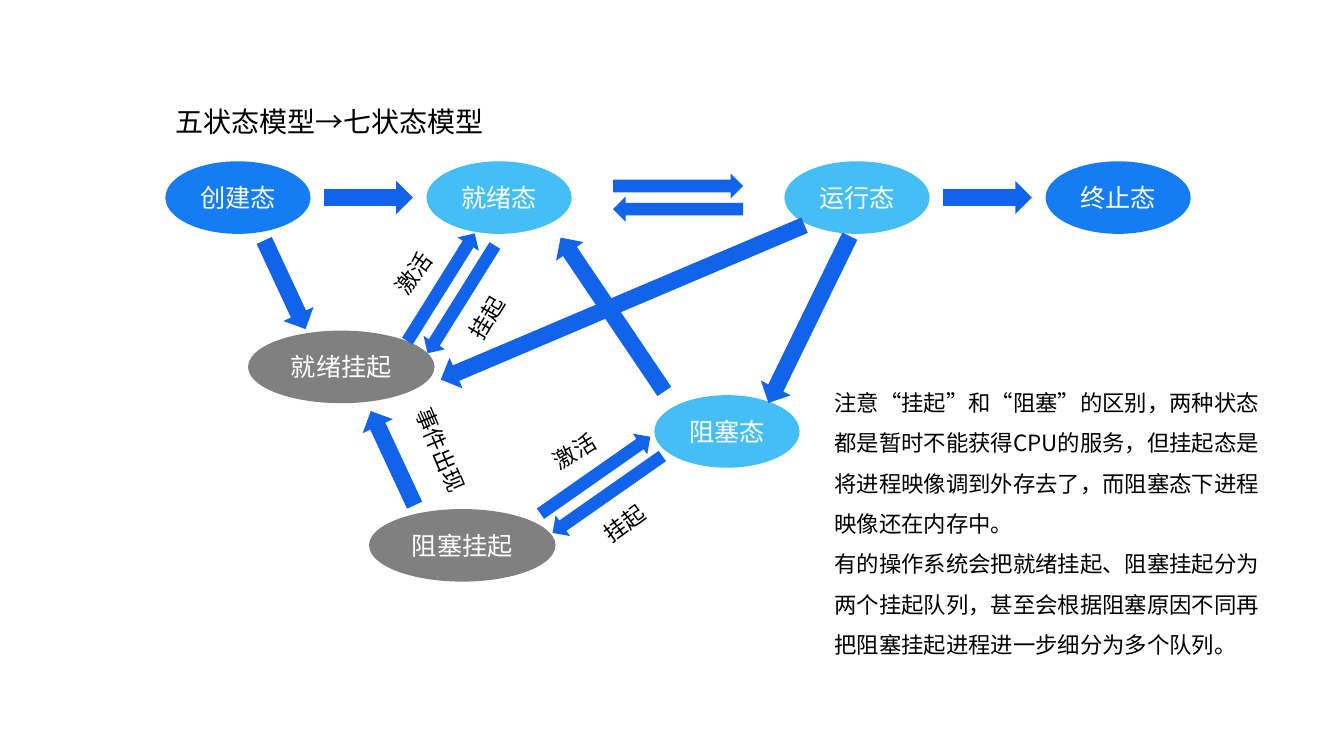
from lxml.etree import SubElement
from pptx import Presentation
from pptx.dml.color import RGBColor
from pptx.enum.shapes import MSO_SHAPE
from pptx.enum.text import MSO_ANCHOR, MSO_AUTO_SIZE, PP_ALIGN
from pptx.oxml.ns import qn
from pptx.util import Inches, Pt

FONT = "Noto Sans CJK SC"
BLUE = RGBColor(0x15, 0x7C, 0xF3)
SKY = RGBColor(0x45, 0xBE, 0xF5)
GRAY = RGBColor(0x80, 0x80, 0x80)
ARROW_BLUE = RGBColor(0x11, 0x63, 0xEB)
WHITE = RGBColor(0xFF, 0xFF, 0xFF)
BLACK = RGBColor(0, 0, 0)

TITLE = "五状态模型→七状态模型"
NOTES = [
    "注意“挂起”和“阻塞”的区别，两种状态都是暂时不能获得CPU的服务，但挂起态是将进程映像调到外存去了，而阻塞态下进程映像还在内存中。",
    "有的操作系统会把就绪挂起、阻塞挂起分为两个挂起队列，甚至会根据阻塞原因不同再把阻塞挂起进程进一步细分为多个队列。",
]

STATE_HEIGHT = 0.72
ACTIVE_WIDTH, SUSPENDED_WIDTH = 1.44, 1.85
STATES = [
    ("创建态", 1.64, 1.6, ACTIVE_WIDTH, BLUE),
    ("就绪态", 4.23, 1.6, ACTIVE_WIDTH, SKY),
    ("运行态", 7.78, 1.6, ACTIVE_WIDTH, SKY),
    ("终止态", 10.37, 1.6, ACTIVE_WIDTH, BLUE),
    ("就绪挂起", 2.46, 3.28, SUSPENDED_WIDTH, GRAY),
    ("阻塞挂起", 3.66, 5.05, SUSPENDED_WIDTH, GRAY),
    ("阻塞态", 6.49, 3.92, ACTIVE_WIDTH, SKY),
]

WIDE, NARROW = 0.33, 0.25
TRANSITIONS = [
    (3.49, 1.52, WIDE, 0.88, 90),
    (9.63, 1.52, WIDE, 0.88, 90),
    (6.6, 1.2, NARROW, 1.29, 90),
    (6.6, 1.43, NARROW, 1.29, 270),
    (2.66, 2.34, WIDE, 0.97, 155),
    (3.73, 4.03, WIDE, 1.03, 335),
    (4.25, 2.22, NARROW, 1.26, 32),
    (4.45, 2.34, NARROW, 1.26, 212),
    (5.78, 4.05, NARROW, 1.33, 55),
    (5.9, 4.24, NARROW, 1.33, 235),
    (5.91, 2.2, WIDE, 1.84, 326),
    (7.86, 2.25, WIDE, 1.84, 206),
    (6.01, 1.04, WIDE, 3.92, 247),
]

LABEL_HEIGHT = 0.37
LABELS = [
    ("激活", 3.6, 2.53, 1, 306),
    ("挂起", 4.33, 2.97, 1, 301),
    ("激活", 5.17, 4.29, 1.06, 329),
    ("挂起", 5.66, 5.01, 1.06, 324),
    ("事件出现", 3.65, 4.28, 1.44, 67),
]


def write(shape, paragraphs, size, color, align, anchor=MSO_ANCHOR.TOP, spacing=1.0):
    """Fill a shape with formatted paragraphs."""
    frame = shape.text_frame
    frame.word_wrap = True
    frame.auto_size = MSO_AUTO_SIZE.NONE
    frame.vertical_anchor = anchor
    for index, text in enumerate(paragraphs):
        paragraph = frame.add_paragraph() if index else frame.paragraphs[0]
        paragraph.alignment = align
        paragraph.line_spacing = spacing
        run = paragraph.add_run()
        run.text = text
        run.font.size = Pt(size)
        run.font.bold = False
        run.font.color.rgb = color
        run.font.name = FONT
        SubElement(run.font._element, qn("a:ea"), typeface=FONT)


def add_filled(slide, preset, left, top, width, height, color):
    """Add a flat preset shape without an outline."""
    shape = slide.shapes.add_shape(
        preset, Inches(left), Inches(top), Inches(width), Inches(height))
    shape.shadow.inherit = False
    shape.fill.solid()
    shape.fill.fore_color.rgb = color
    shape.line.fill.background()
    return shape


def main():
    """Build the process state model slide."""
    deck = Presentation()
    deck.slide_width, deck.slide_height = Inches(13.33), Inches(7.5)
    slide = deck.slides.add_slide(deck.slide_layouts[5])

    title = slide.shapes.title
    title.left, title.top = Inches(1.64), Inches(0.99)
    title.width, title.height = Inches(4.34), Inches(0.44)
    write(title, [TITLE], 20, BLACK, PP_ALIGN.LEFT)

    for name, left, top, width, color in STATES:
        state = add_filled(slide, MSO_SHAPE.OVAL, left, top, width, STATE_HEIGHT, color)
        write(state, [name], 18, WHITE, PP_ALIGN.CENTER, MSO_ANCHOR.MIDDLE)

    for left, top, width, length, angle in TRANSITIONS:
        transition = add_filled(
            slide, MSO_SHAPE.UP_ARROW, left, top, width, length, ARROW_BLUE)
        transition.rotation = angle

    for text, left, top, width, angle in LABELS:
        label = slide.shapes.add_textbox(
            Inches(left), Inches(top), Inches(width), Inches(LABEL_HEIGHT))
        label.rotation = angle
        write(label, [text], 16, BLACK, PP_ALIGN.CENTER)

    notes = slide.shapes.add_textbox(
        Inches(8.18), Inches(3.68), Inches(4.44), Inches(2.93))
    write(notes, NOTES, 16, BLACK, PP_ALIGN.LEFT, spacing=1.5)

    deck.save("out.pptx")


if __name__ == "__main__":
    main()
